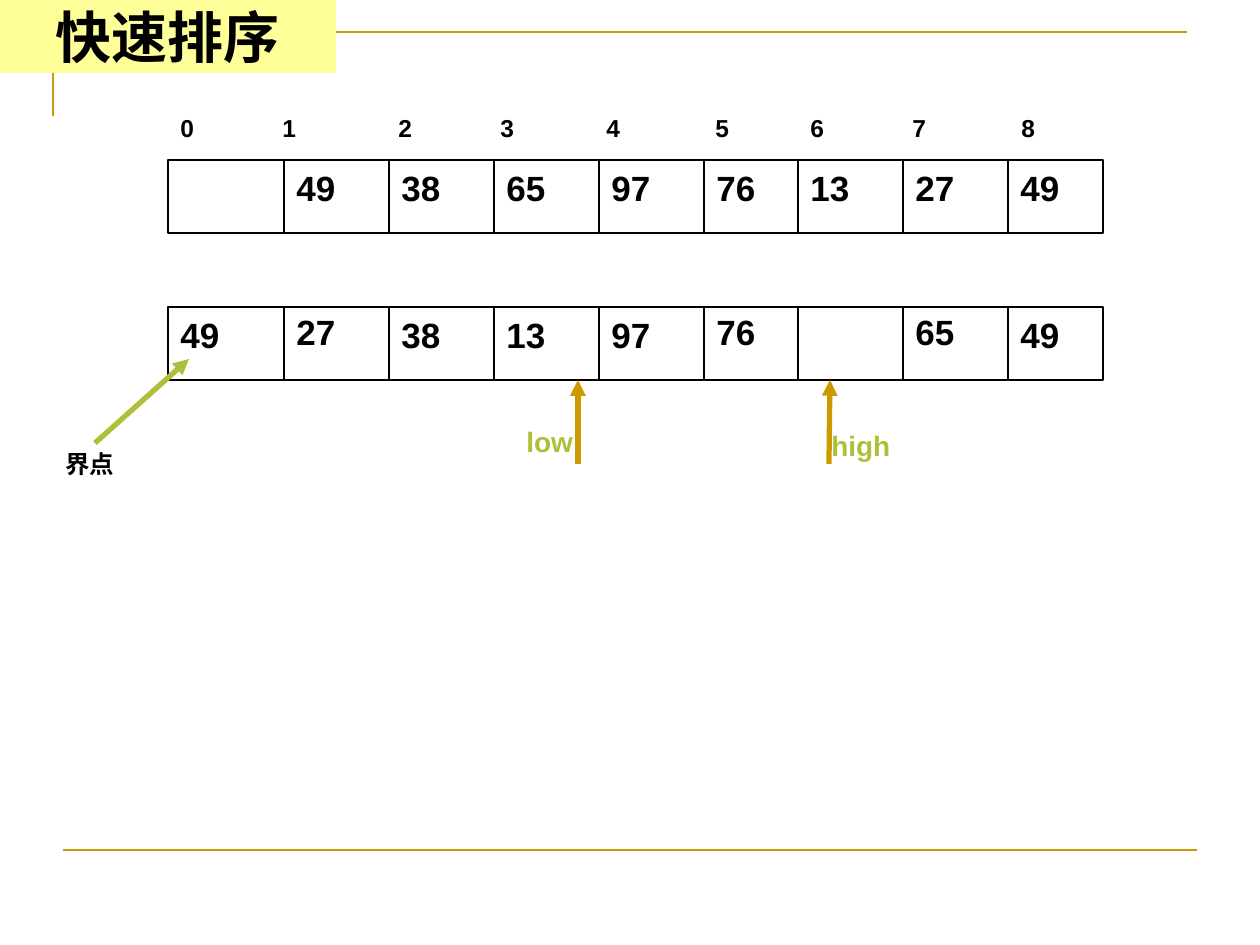
from lxml.etree import SubElement
from pptx import Presentation
from pptx.dml.color import RGBColor
from pptx.enum.shapes import MSO_CONNECTOR, MSO_SHAPE
from pptx.enum.text import MSO_ANCHOR, PP_ALIGN
from pptx.oxml.ns import qn
from pptx.util import Pt

EMU_PER_PX = 914400 / 126
BLACK, WHITE, GOLD, GREEN, YELLOW = "000000", "FFFFFF", "CC9900", "AFBF39", "FFFF99"
CELL_EDGES = [168, 284, 389, 494, 599, 704, 798, 903, 1008]
ROW_RIGHT, ROW_HEIGHT = 1103, 73
INDEX_TABS = [102, 218, 320, 426, 535, 630, 732, 841]


def px(length):
    """Turn pixels into EMU."""
    return round(length * EMU_PER_PX)


def color(code):
    """Turn a hex string into a colour."""
    return RGBColor.from_string(code)


def style_font(paragraph, size, code, name="Arial"):
    """Set the bold font of a paragraph."""
    font = paragraph.font
    font.name, font.size, font.bold = name, Pt(size), True
    font.color.rgb = color(code)


def add_label(slide, text, left, top, width, height, size, code=BLACK, tabs=()):
    """Add a bold text box, with tab stops where given."""
    label = slide.shapes.add_textbox(px(left), px(top), px(width), px(height))
    label.text_frame.word_wrap = True
    paragraph = label.text_frame.paragraphs[0]
    paragraph.text = text
    if tabs:
        stops = SubElement(paragraph._p.get_or_add_pPr(), qn("a:tabLst"))
        for position in tabs:
            SubElement(stops, qn("a:tab"), pos=str(px(position)), algn="l")
    style_font(paragraph, size, code)


def add_line(slide, start, end, code, width, arrow=False):
    """Add a straight line, with an arrowhead at its end if asked."""
    line = slide.shapes.add_connector(MSO_CONNECTOR.STRAIGHT, *map(px, start + end))
    line.line.color.rgb = color(code)
    line.line.width = Pt(width)
    if arrow:
        SubElement(line.line._get_or_add_ln(), qn("a:tailEnd"), type="triangle")
    SubElement(line._element.spPr, qn("a:effectLst"))


def add_box(slide, left, top, width, height, fill):
    """Add a filled rectangle without a shadow."""
    box = slide.shapes.add_shape(MSO_SHAPE.RECTANGLE, *map(px, (left, top, width, height)))
    box.shadow.inherit = False
    box.fill.solid()
    box.fill.fore_color.rgb = color(fill)
    return box


def add_corner_rule(slide):
    """Add the angled rule at the top of the slide."""
    builder = slide.shapes.build_freeform(53, 116, scale=EMU_PER_PX)
    builder.add_line_segments([(53, 32), (1187, 32)], close=False)
    rule = builder.convert_to_shape()
    rule.shadow.inherit = False
    rule.fill.background()
    rule.line.color.rgb = color(GOLD)
    rule.line.width = Pt(1.5)


def add_array(slide, top, values, raised=()):
    """Add a row of cells with values, some set slightly higher."""
    frame = add_box(slide, CELL_EDGES[0], top, ROW_RIGHT - CELL_EDGES[0], ROW_HEIGHT, WHITE)
    frame.line.color.rgb = color(BLACK)
    frame.line.width = Pt(0.75)
    for edge in CELL_EDGES[1:]:
        add_line(slide, (edge, top), (edge, top + ROW_HEIGHT), BLACK, 0.75)
    for index, (edge, value) in enumerate(zip(CELL_EDGES, values)):
        if value:
            add_label(slide, value, edge, top - 3 * (index in raised), 84, 55, 20)


def add_title(slide, text):
    """Add the title on its yellow band."""
    band = add_box(slide, 0, 0, 336, 73, YELLOW)
    band.line.fill.background()
    band.text_frame.vertical_anchor = MSO_ANCHOR.MIDDLE
    paragraph = band.text_frame.paragraphs[0]
    paragraph.text = text
    paragraph.alignment = PP_ALIGN.CENTER
    style_font(paragraph, 32, BLACK, "Times New Roman")


def main():
    """Build the quicksort slide."""
    deck = Presentation()
    deck.slide_width, deck.slide_height = px(1260), px(945)
    slide = deck.slides.add_slide(deck.slide_layouts[6])

    add_corner_rule(slide)
    add_line(slide, (63, 850), (1197, 850), GOLD, 1.5)
    add_label(slide, "\t".join("012345678"), 168, 107, 935, 43, 14, tabs=INDEX_TABS)
    add_array(slide, 160, ["", "49", "38", "65", "97", "76", "13", "27", "49"])
    add_array(slide, 307, ["49", "27", "38", "13", "97", "76", "", "65", "49"], raised=(1, 5, 7))

    add_line(slide, (829, 464), (830, 380), GOLD, 3, arrow=True)
    add_label(slide, "high", 819, 422, 116, 47, 16, GREEN)
    add_line(slide, (578, 464), (578, 380), GOLD, 3, arrow=True)
    add_label(slide, "low", 514, 418, 116, 47, 16, GREEN)
    add_label(slide, "界点", 53, 443, 105, 43, 14)
    add_line(slide, (95, 443), (189, 359), GREEN, 3, arrow=True)
    add_title(slide, "快速排序")
    deck.save("out.pptx")


if __name__ == "__main__":
    main()
